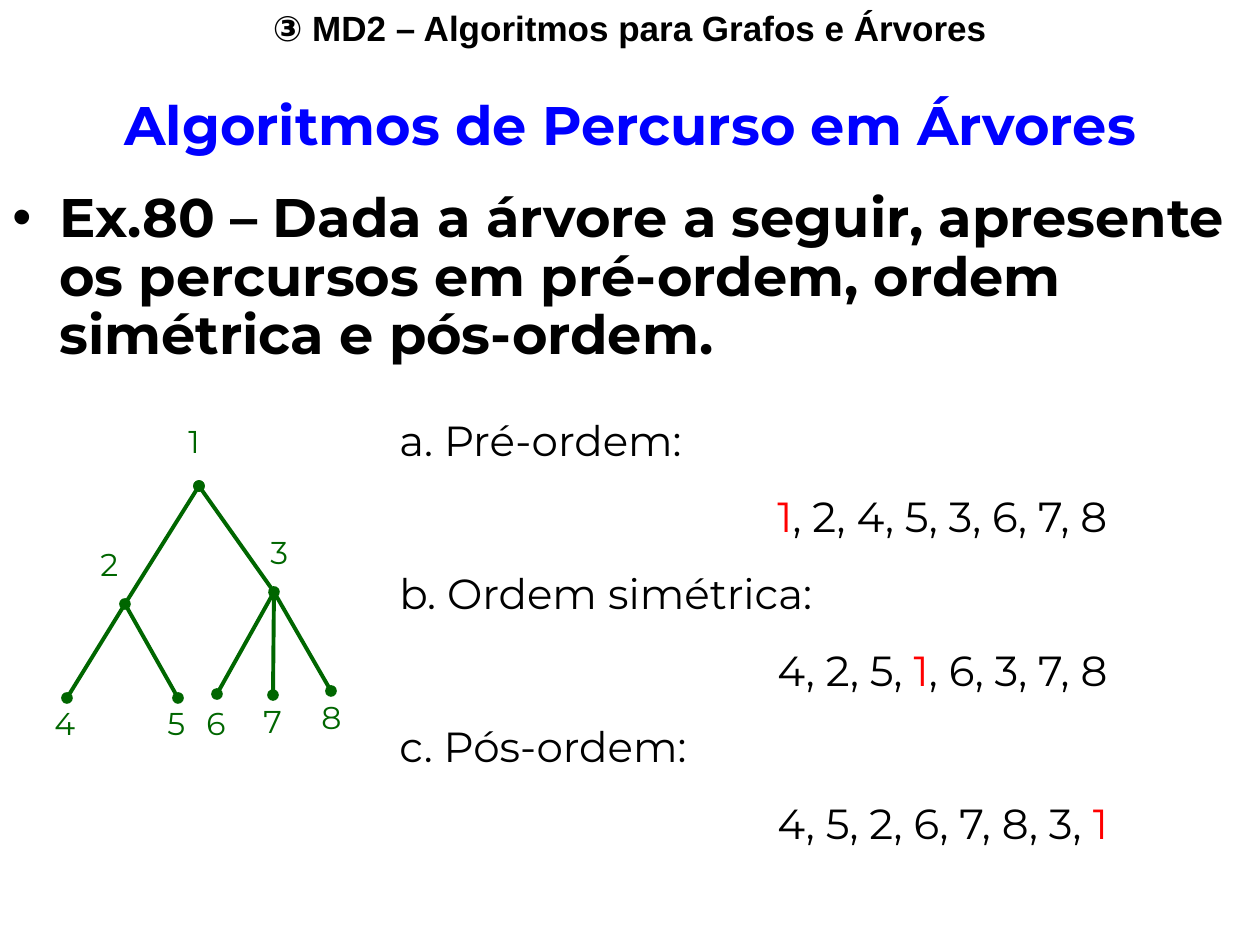
from dataclasses import dataclass
from lxml.etree import SubElement
from pptx import Presentation
from pptx.dml.color import RGBColor
from pptx.enum.shapes import MSO_CONNECTOR
from pptx.enum.text import MSO_AUTO_SIZE, PP_ALIGN
from pptx.oxml.ns import qn
from pptx.util import Emu, Pt


@dataclass(frozen=True)
class Theme:
    head_font: str = "Arial"
    font: str = "Montserrat"
    black: RGBColor = RGBColor(0, 0, 0)
    blue: RGBColor = RGBColor(0, 0, 255)
    red: RGBColor = RGBColor(255, 0, 0)
    green: RGBColor = RGBColor(0, 102, 0)
    head: Pt = Pt(20)
    title: Pt = Pt(31)
    answer: Pt = Pt(24)
    label: Pt = Pt(18)
    edge: Pt = Pt(2.25)


T = Theme()
NODES = {
    "1": ((199, 486), (176, 416)),
    "2": ((125, 604), (88, 539)),
    "3": ((274, 592), (258, 527)),
    "4": ((67, 698), (42, 698)),
    "5": ((178, 698), (155, 698)),
    "6": ((217, 694), (194, 698)),
    "7": ((273, 695), (251, 696)),
    "8": ((331, 691), (309, 692)),
}
CHILDREN = {"1": "23", "2": "45", "3": "678"}
ANSWERS = [
    ("a. Pré-ordem:", "1, 2, 4, 5, 3, 6, 7, 8"),
    ("b. Ordem simétrica:", "4, 2, 5, 1, 6, 3, 7, 8"),
    ("c. Pós-ordem:", "4, 5, 2, 6, 7, 8, 3, 1"),
]


def px(n):
    return Emu(round(n * 914400 / 126))


def set_attrs(obj, values):
    for name, value in values.items():
        setattr(obj, name, value)


def add_box(s, x, y, w, h, wrap=True):
    tf = s.shapes.add_textbox(px(x), px(y), px(w), px(h)).text_frame
    set_attrs(tf, {"word_wrap": wrap, "auto_size": MSO_AUTO_SIZE.SHAPE_TO_FIT_TEXT})
    return tf


def add_run(p, text, size, color, font=T.font, bold=False):
    r = p.add_run()
    r.text = text
    set_attrs(r.font, {"name": font, "size": size, "bold": bold})
    r.font.color.rgb = color


def set_indent(p, left, first=0):
    pPr = p._p.get_or_add_pPr()
    pPr.set("marL", str(px(left)))
    pPr.set("indent", str(px(first)))
    return pPr


def add_bullet(pPr):
    SubElement(pPr, qn("a:buFont"), typeface=T.head_font)
    SubElement(pPr, qn("a:buChar"), char="•")


def add_header(s):
    p = add_box(s, 0, 0, 1260, 55).paragraphs[0]
    p.alignment = PP_ALIGN.CENTER
    add_run(p, "③ MD2 – Algoritmos para Grafos e Árvores", T.head, T.black, T.head_font, True)


def add_question(s):
    tf = add_box(s, 0, 92, 1260, 281)
    title, question = tf.paragraphs[0], tf.add_paragraph()
    set_attrs(title, {"alignment": PP_ALIGN.CENTER, "line_spacing": 0.9})
    set_attrs(question, {"line_spacing": 0.9, "space_before": Pt(19.4)})
    set_indent(title, 47, -47)
    add_bullet(set_indent(question, 47, -47))
    add_run(title, "Algoritmos de Percurso em Árvores", T.title, T.blue, bold=True)
    add_run(question, "Ex.80 – Dada a árvore a seguir, apresente os percursos em pré-ordem, "
            "ordem simétrica e pós-ordem.", T.title, T.black, bold=True)


def add_edge(s, start, end, ends):
    c = s.shapes.add_connector(MSO_CONNECTOR.STRAIGHT, *map(px, start + end))
    c.line.color.rgb = T.green
    c.line.width = T.edge
    ln = c.line._get_or_add_ln()
    for name in ends:
        SubElement(ln, qn(f"a:{name}"), type="oval", w="med", len="med")
    SubElement(c._element.spPr, qn("a:effectLst"))


def add_tree(s):
    for parent, children in CHILDREN.items():
        for child in children:
            ends = ["headEnd", "tailEnd"] if parent == "1" else ["tailEnd"]
            add_edge(s, NODES[parent][0], NODES[child][0], ends)
    for name, (_, (x, y)) in NODES.items():
        p = add_box(s, x, y, 43, 50, wrap=False).paragraphs[0]
        add_run(p, name, T.label, T.green)


def add_answers(s):
    tf = add_box(s, 387, 408, 873, 446)
    for i, (name, order) in enumerate(ANSWERS):
        p = tf.add_paragraph() if i else tf.paragraphs[0]
        if i:
            p.space_before = Pt(15)
        add_run(p, name, T.answer, T.black)
        p = tf.add_paragraph()
        p.space_before = Pt(15)
        set_indent(p, 378)
        before, root, after = order.partition("1")
        for text, color in ((before, T.black), (root, T.red), (after, T.black)):
            if text:
                add_run(p, text, T.answer, color)


def main():
    prs = Presentation()
    set_attrs(prs, {"slide_width": px(1260), "slide_height": px(945)})
    s = prs.slides.add_slide(prs.slide_layouts[6])
    add_header(s)
    add_question(s)
    add_tree(s)
    add_answers(s)
    prs.save("out.pptx")


if __name__ == "__main__":
    main()
